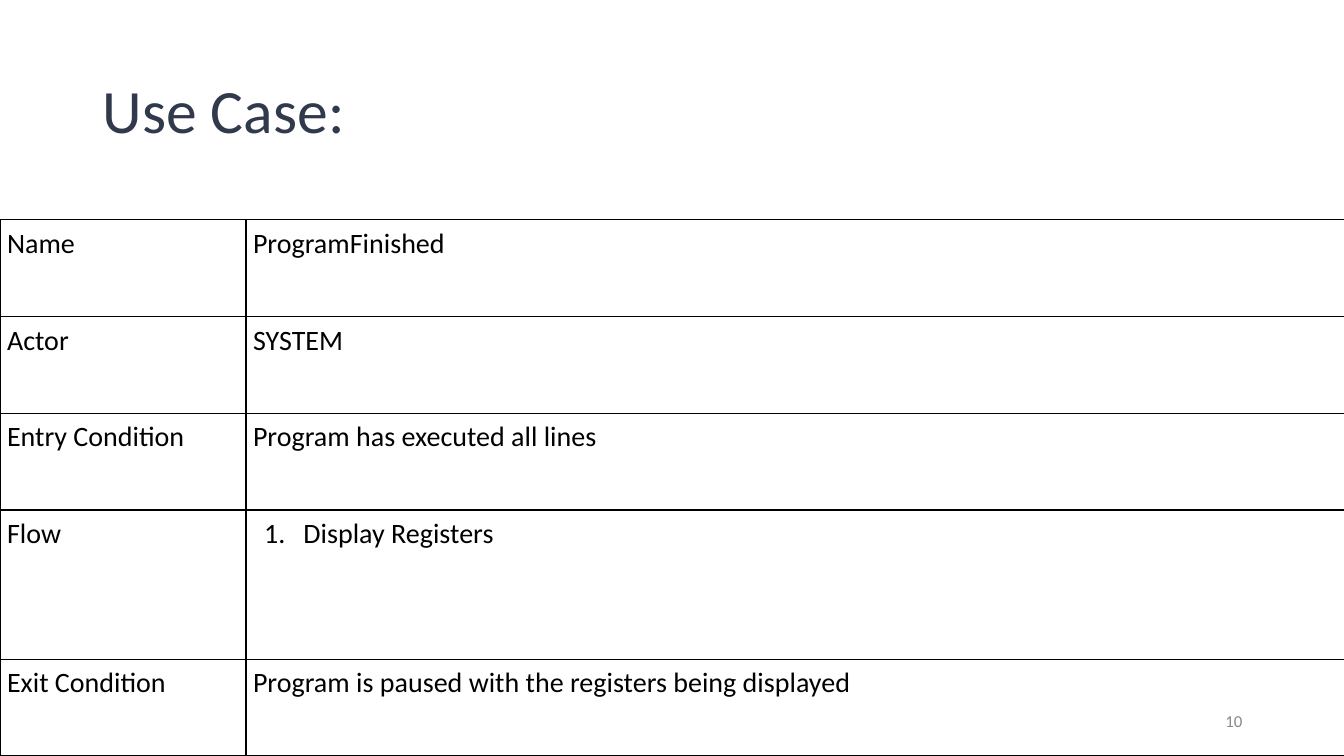
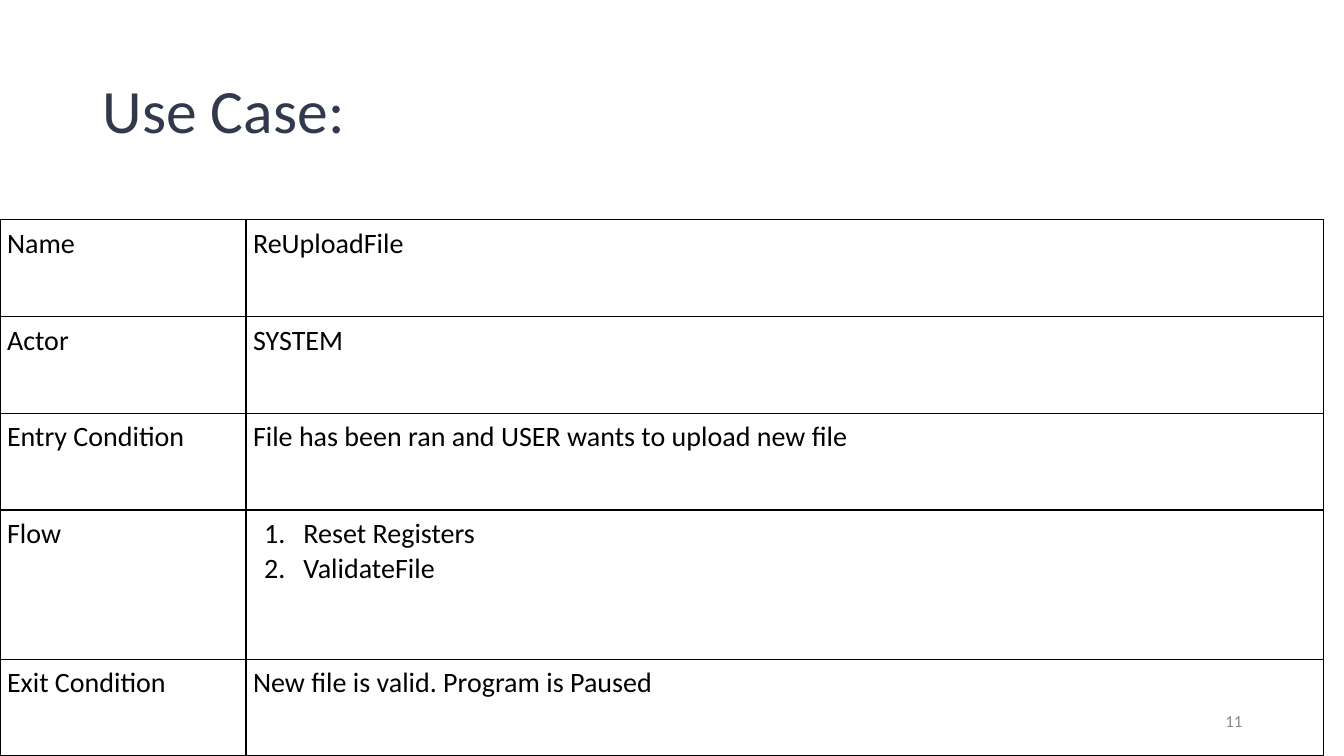
import pptx
import pptx.dml.color
import pptx.enum.text
import pptx.util
import lxml.etree
from pptx.oxml.ns import qn

COLOURS = {"title": "31394D", "text": "000000", "border": "000000", "number": "888888"}
FONT = "Calibri"
Inches, Pt = pptx.util.Inches, pptx.util.Pt

LABELS = ["Name", "Actor", "Entry Condition", "Flow", "Exit Condition"]
ROW_HEIGHTS = [0.96, 0.96, 0.96, 1.48, 0.96]
LABEL_WIDTH = 2.44
TABLE_TOP = 2.18
FLOW_ROW = LABELS.index("Flow")

# Slide number, width of the value column, values in the order of LABELS
USE_CASES = [
    (10, 10.9, ["ProgramFinished", "SYSTEM", "Program has executed all lines",
                "Display Registers",
                "Program is paused with the registers being displayed"]),
    (11, 10.69, ["ReUploadFile", "SYSTEM",
                 "File has been ran and USER wants to upload new file",
                 "Reset Registers\nValidateFile",
                 "New file is valid. Program is Paused"]),
]


def style_text(frame, size, colour, align=pptx.enum.text.PP_ALIGN.LEFT):
    for paragraph in frame.paragraphs:
        paragraph.alignment = align
        paragraph.font.name = FONT
        paragraph.font.size = Pt(size)
        paragraph.font.color.rgb = pptx.dml.color.RGBColor.from_string(COLOURS[colour])


def outline_cell(cell):
    properties = cell._tc.get_or_add_tcPr()
    for side in ("a:lnL", "a:lnR", "a:lnT", "a:lnB"):
        line = lxml.etree.SubElement(properties, qn(side), w=str(Pt(1)))
        fill = lxml.etree.SubElement(line, qn("a:solidFill"))
        lxml.etree.SubElement(fill, qn("a:srgbClr"), val=COLOURS["border"])


deck = pptx.Presentation()
deck.slide_width, deck.slide_height = Inches(13.33), Inches(7.5)
title_only = deck.slide_layouts.get_by_name("Title Only")

for number, value_width, values in USE_CASES:
    page = deck.slides.add_slide(title_only)

    title = page.shapes.title
    title.left, title.top = Inches(0.92), Inches(0.4)
    title.width, title.height = Inches(11.5), Inches(1.45)
    title.text_frame.text = "Use Case:"
    title.text_frame.auto_size = pptx.enum.text.MSO_AUTO_SIZE.NONE
    title.text_frame.vertical_anchor = pptx.enum.text.MSO_ANCHOR.MIDDLE
    title.text_frame.paragraphs[0].line_spacing = 0.9
    style_text(title.text_frame, 44, "title")

    box = page.shapes.add_textbox(Inches(9.42), Inches(6.95), Inches(3), Inches(0.4))
    box.text_frame.word_wrap = True
    box.text_frame.vertical_anchor = pptx.enum.text.MSO_ANCHOR.MIDDLE
    box.text_frame.text = str(number)
    style_text(box.text_frame, 12, "number", pptx.enum.text.PP_ALIGN.RIGHT)

    table = page.shapes.add_table(
        len(LABELS), 2, 0, Inches(TABLE_TOP),
        Inches(LABEL_WIDTH + value_width), Inches(sum(ROW_HEIGHTS))).table
    table.first_row = table.horz_banding = False
    for column, width in zip(table.columns, (LABEL_WIDTH, value_width)):
        column.width = Inches(width)
    for row, height, texts in zip(table.rows, ROW_HEIGHTS, zip(LABELS, values)):
        row.height = Inches(height)
        for cell, text in zip(row.cells, texts):
            cell.text = text
            cell.margin_left = cell.margin_right = Inches(0.07)
            cell.margin_top = cell.margin_bottom = Inches(0.07)
            style_text(cell.text_frame, 20, "text")
            outline_cell(cell)
            cell.fill.background()

    for step in table.cell(FLOW_ROW, 1).text_frame.paragraphs:
        properties = step._p.get_or_add_pPr()
        properties.set("marL", str(Inches(0.5)))
        properties.set("indent", str(Inches(-0.39)))
        numbering = lxml.etree.Element(qn("a:buAutoNum"), type="arabicPeriod")
        properties.find(qn("a:defRPr")).addprevious(numbering)

deck.save("out.pptx")
